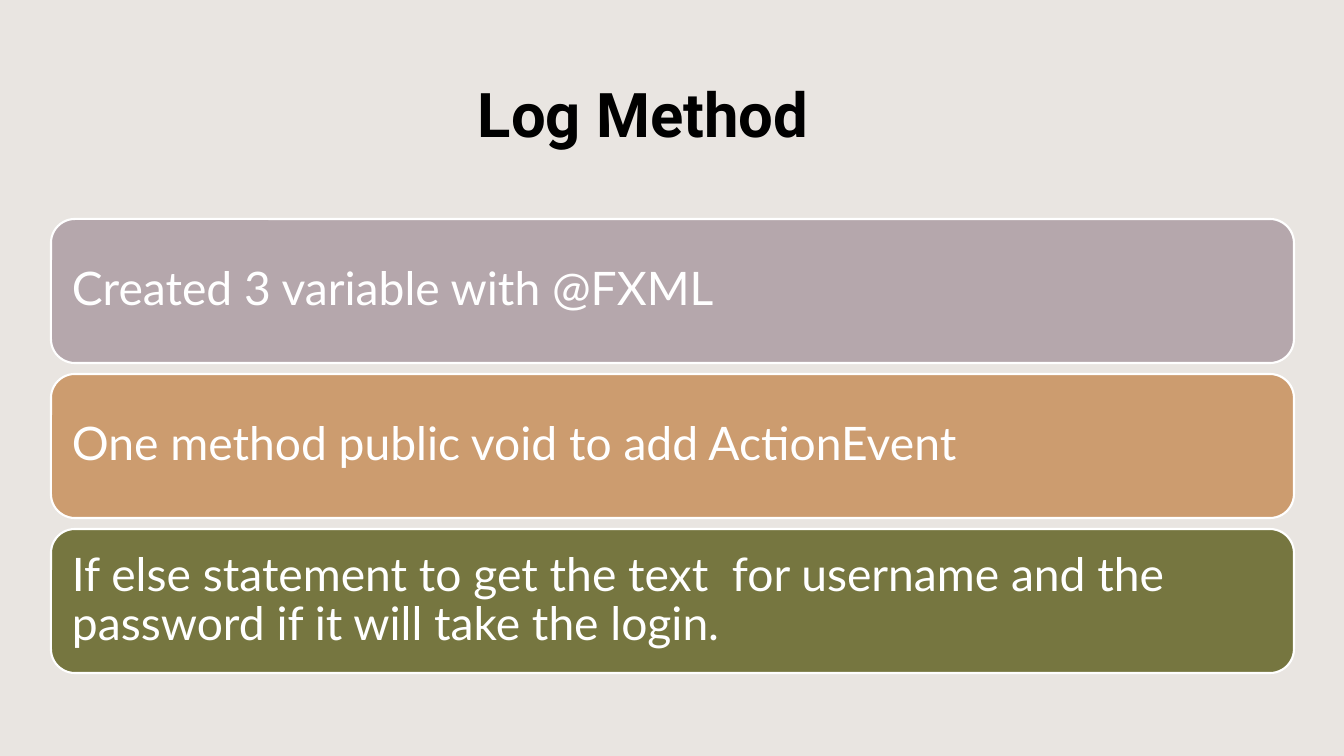
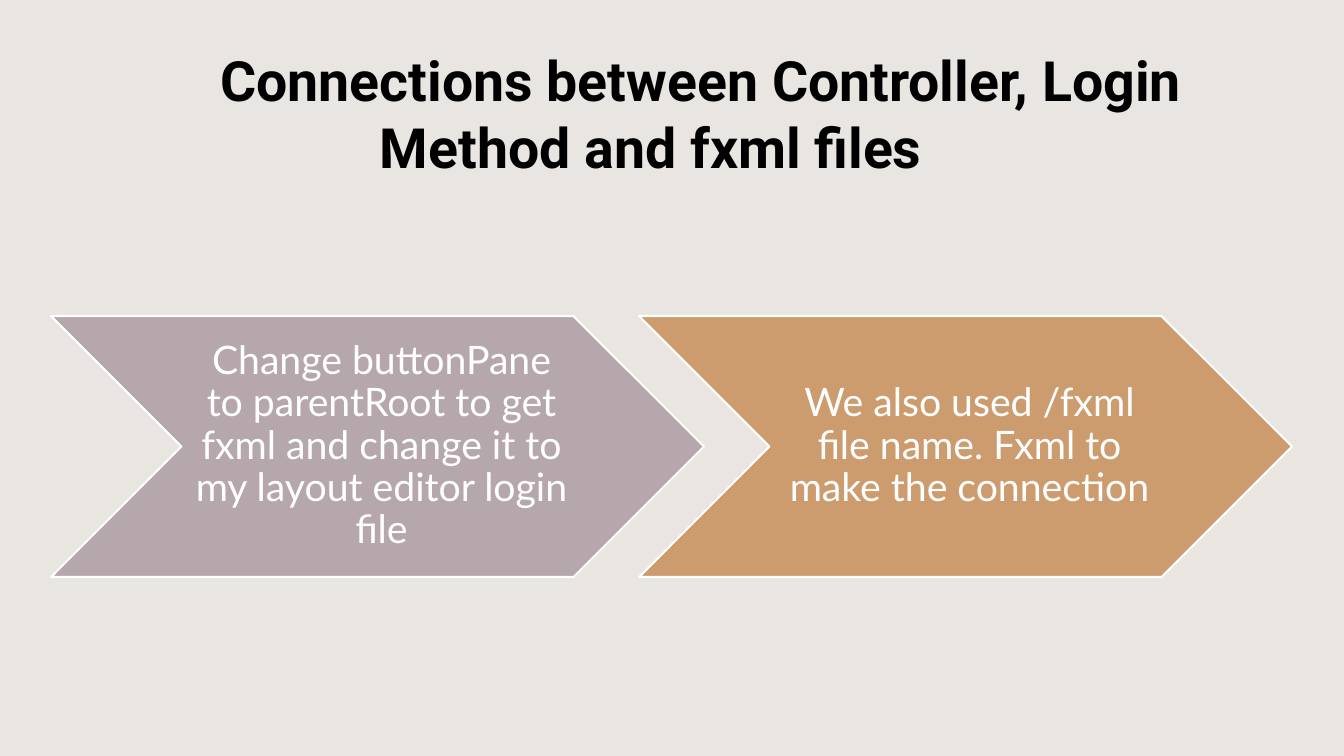
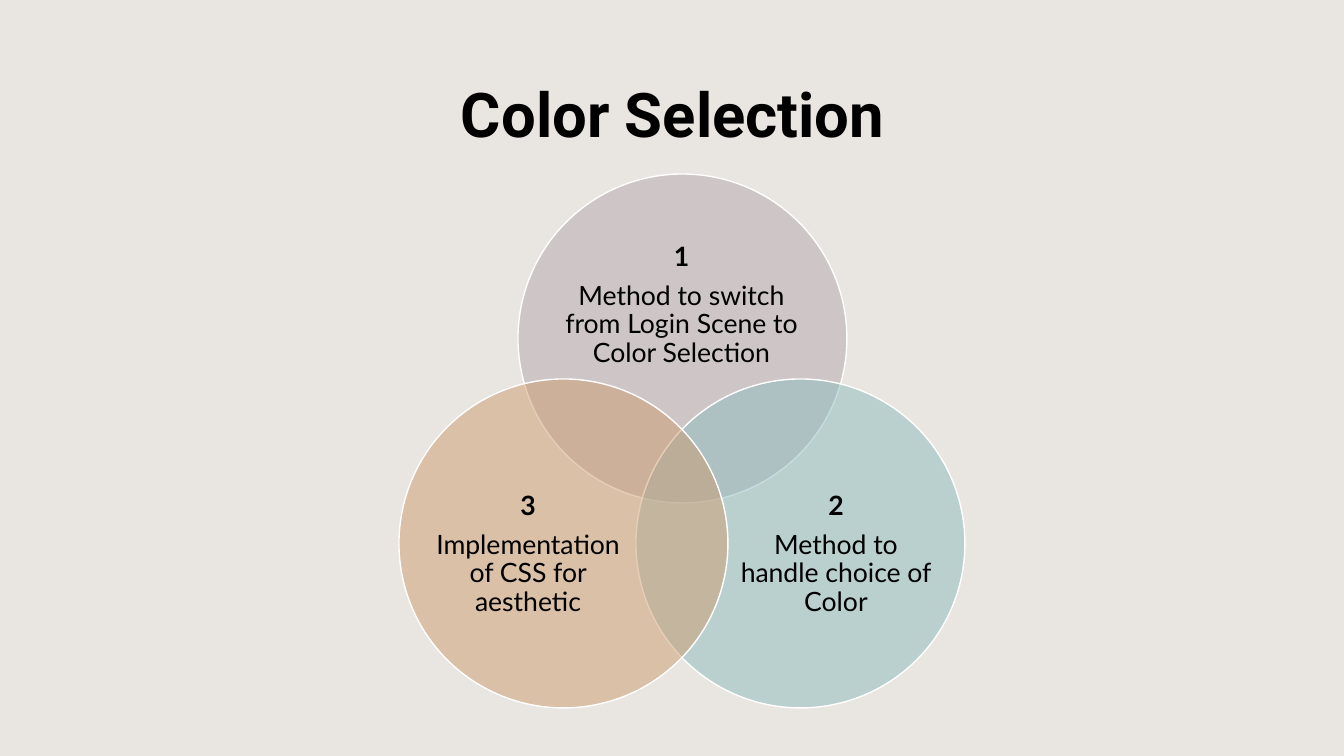
"""Build three slides that explain the login and colour selection methods."""
from dataclasses import dataclass
from math import cos, radians, sin

from lxml.etree import SubElement
from pptx import Presentation
from pptx.dml.color import RGBColor
from pptx.enum.shapes import MSO_SHAPE
from pptx.enum.text import MSO_ANCHOR, MSO_AUTO_SIZE, PP_ALIGN
from pptx.oxml.ns import qn
from pptx.presentation import Presentation as Deck
from pptx.shapes.autoshape import Shape
from pptx.slide import Slide
from pptx.text.text import TextFrame, _Paragraph
from pptx.util import Emu, Pt

SLIDE_W, SLIDE_H = 1344, 756
EMU_PER_PX = 12192000 / SLIDE_W
COLORS = {
    "paper": "E9E5E1",
    "mauve": "B5A7AC",
    "tan": "CC9C6F",
    "olive": "767640",
    "teal": "8DBCBF",
    "white": "FFFFFF",
    "black": "000000",
}


@dataclass(frozen=True)
class Box:
    left: int
    top: int
    width: int
    height: int


@dataclass(frozen=True)
class Block:
    text: str
    color: str


@dataclass(frozen=True)
class Circle:
    number: str
    text: str
    color: str
    angle: int
    label: Box


TITLE_BOX = Box(50, 40, 1202, 146)
BARS = (
    Block("Created 3 variable with @FXML", "mauve"),
    Block("One method public void to add ActionEvent", "tan"),
    Block("If else statement to get the text  for username and the password "
          "if it will take the login.", "olive"),
)
CHEVRONS = (
    Block("Change buttonPane to parentRoot to get fxml and change it to "
          "my layout editor login file", "mauve"),
    Block("We also used /fxml file name. Fxml to make the connection", "tan"),
)
CIRCLES = (
    Circle("1", "Method to switch from Login Scene to Color Selection", "mauve",
           -90, Box(561, 232, 241, 148)),
    Circle("2", "Method to handle choice of Color", "teal",
           30, Box(737, 465, 198, 180)),
    Circle("3", "Implementation of CSS for aesthetic", "tan",
           150, Box(429, 465, 198, 180)),
)


def px(value: float) -> Emu:
    """Turn pixels into EMU."""
    return Emu(round(value * EMU_PER_PX))


def place(box: Box) -> tuple[Emu, Emu, Emu, Emu]:
    """Return the box as left, top, width and height in EMU."""
    return px(box.left), px(box.top), px(box.width), px(box.height)


def rgb(name: str) -> RGBColor:
    """Look up a named colour."""
    return RGBColor.from_string(COLORS[name])


def style(p: _Paragraph, face: str, size: float, color: str, bold: bool = False) -> None:
    """Set the font of a paragraph."""
    p.font.name, p.font.size, p.font.bold = face, Pt(size), bold
    p.font.color.rgb = rgb(color)


def frame(tf: TextFrame, left: int, other: int) -> None:
    """Wrap and centre text vertically inside the given insets."""
    tf.word_wrap = True
    tf.vertical_anchor = MSO_ANCHOR.MIDDLE
    tf.margin_left = px(left)
    tf.margin_top = tf.margin_right = tf.margin_bottom = px(other)


def add_slide(prs: Deck, title: str, size: float = 44, indent: int = 0) -> Slide:
    """Add a slide with its title, whose first line may be indented."""
    s = prs.slides.add_slide(prs.slide_layouts[5])
    sp = s.shapes.title
    sp.left, sp.top, sp.width, sp.height = place(TITLE_BOX)
    tf = sp.text_frame
    tf.text = title
    tf.word_wrap = True
    tf.auto_size = MSO_AUTO_SIZE.NONE
    tf.vertical_anchor = MSO_ANCHOR.MIDDLE
    p = tf.paragraphs[0]
    p.alignment = PP_ALIGN.CENTER
    style(p, "Roboto", size, "black", bold=True)
    if indent:
        p._p.get_or_add_pPr().set("indent", str(px(indent)))
    return s


def add_outlined(s: Slide, kind: MSO_SHAPE, box: Box, color: str, line: float) -> Shape:
    """Add a filled shape with a white outline."""
    sp = s.shapes.add_shape(kind, *place(box))
    sp.shadow.inherit = False
    sp.fill.solid()
    sp.fill.fore_color.rgb = rgb(color)
    sp.line.color.rgb = rgb("white")
    sp.line.width = Pt(line)
    return sp


def add_block(s: Slide, kind: MSO_SHAPE, box: Box, block: Block, size: int,
              align: PP_ALIGN, left: int, other: int) -> None:
    """Add a shape that holds one white paragraph."""
    sp = add_outlined(s, kind, box, block.color, 1.5)
    tf = sp.text_frame
    frame(tf, left, other)
    tf.text = block.text
    p = tf.paragraphs[0]
    p.alignment, p.line_spacing = align, 0.9
    style(p, "Lato", size, "white")


def add_circle(s: Slide, circle: Circle) -> None:
    """Add a half-transparent circle of the Venn diagram and its label."""
    size, reach, mid_x, mid_y = 329, 137, 682, 475
    angle = radians(circle.angle)
    box = Box(round(mid_x + reach * cos(angle) - size / 2),
              round(mid_y + reach * sin(angle) - size / 2), size, size)
    sp = add_outlined(s, MSO_SHAPE.OVAL, box, circle.color, 1)
    fill = sp._element.spPr.find(qn("a:solidFill"))
    SubElement(fill[0], qn("a:alpha")).set("val", "50000")

    tf = s.shapes.add_textbox(*place(circle.label)).text_frame
    frame(tf, 0, 0)
    tf.text = f"{circle.number}\n{circle.text}"
    for p, bold in zip(tf.paragraphs, (True, False)):
        p.alignment, p.line_spacing = PP_ALIGN.CENTER, 0.9
        style(p, "Lato", 19, "black", bold)
    tf.paragraphs[0].space_after = Pt(7)


def main() -> None:
    """Build and save the presentation."""
    prs = Presentation()
    prs.slide_width, prs.slide_height = px(SLIDE_W), px(SLIDE_H)
    background = prs.slide_master.background.fill
    background.solid()
    background.fore_color.rgb = rgb("paper")

    s = add_slide(prs, "Log Method ")
    for i, bar in enumerate(BARS):
        add_block(s, MSO_SHAPE.ROUNDED_RECTANGLE, Box(51, 219 + 155 * i, 1243, 144),
                  bar, 33, PP_ALIGN.LEFT, 14, 14)

    s = add_slide(prs, "Connections between Controller, Login Method and fxml files",
                  size=39.6, indent=100)
    for i, chevron in enumerate(CHEVRONS):
        add_block(s, MSO_SHAPE.CHEVRON, Box(51 + 588 * i, 316, 653, 261),
                  chevron, 28, PP_ALIGN.CENTER, 12, 4)

    s = add_slide(prs, "Color Selection", indent=44)
    for circle in CIRCLES:
        add_circle(s, circle)

    prs.save("out.pptx")


if __name__ == "__main__":
    main()
